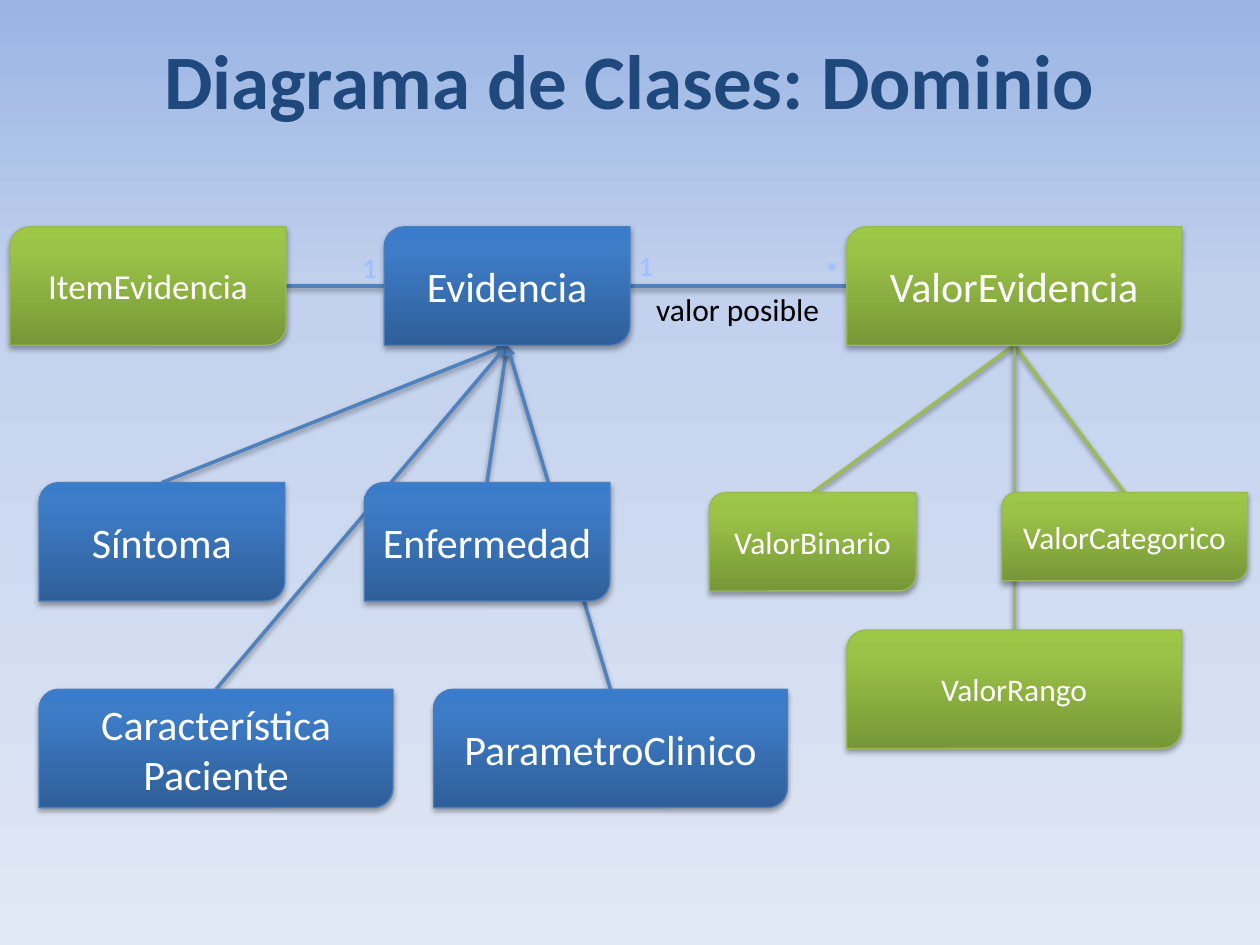
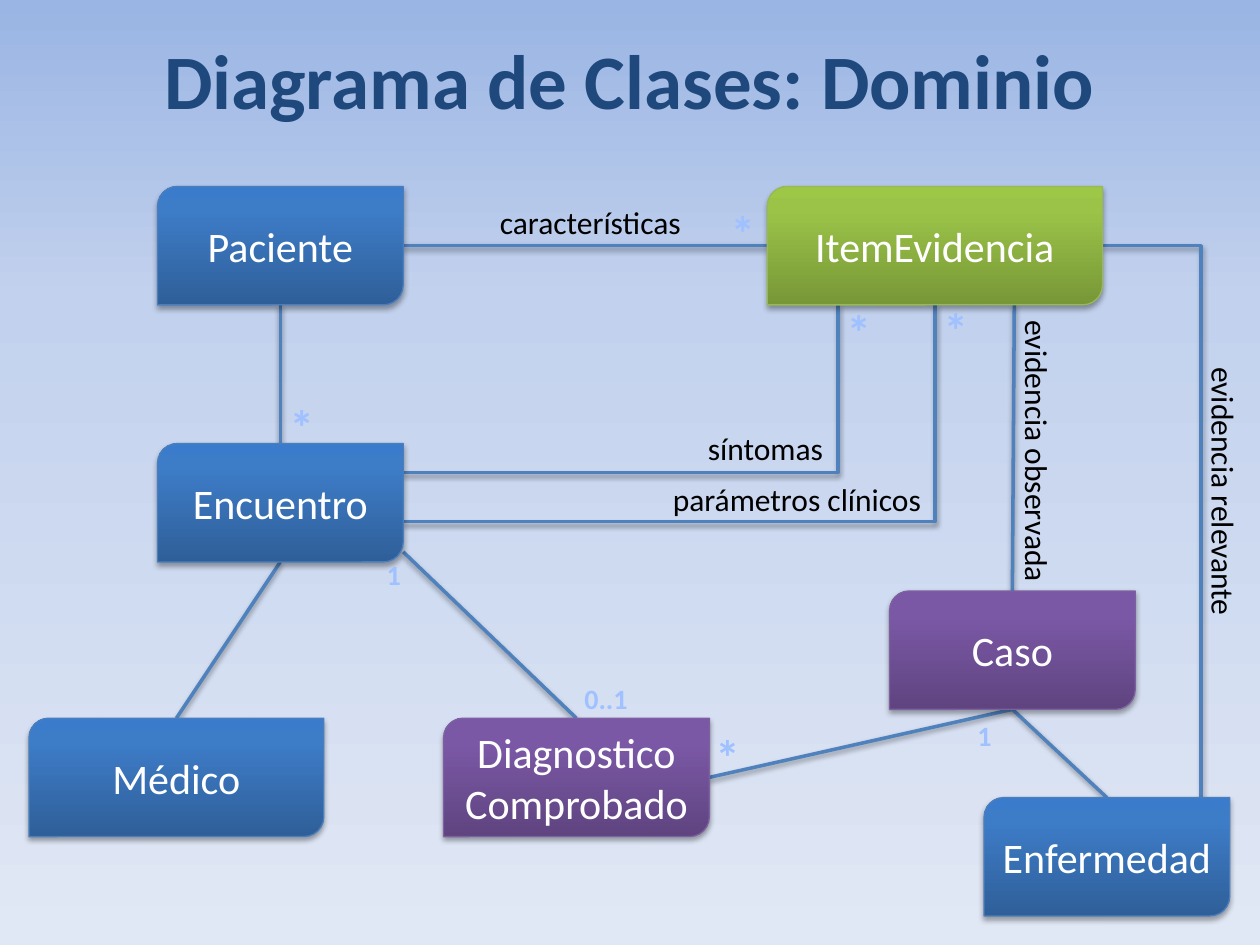
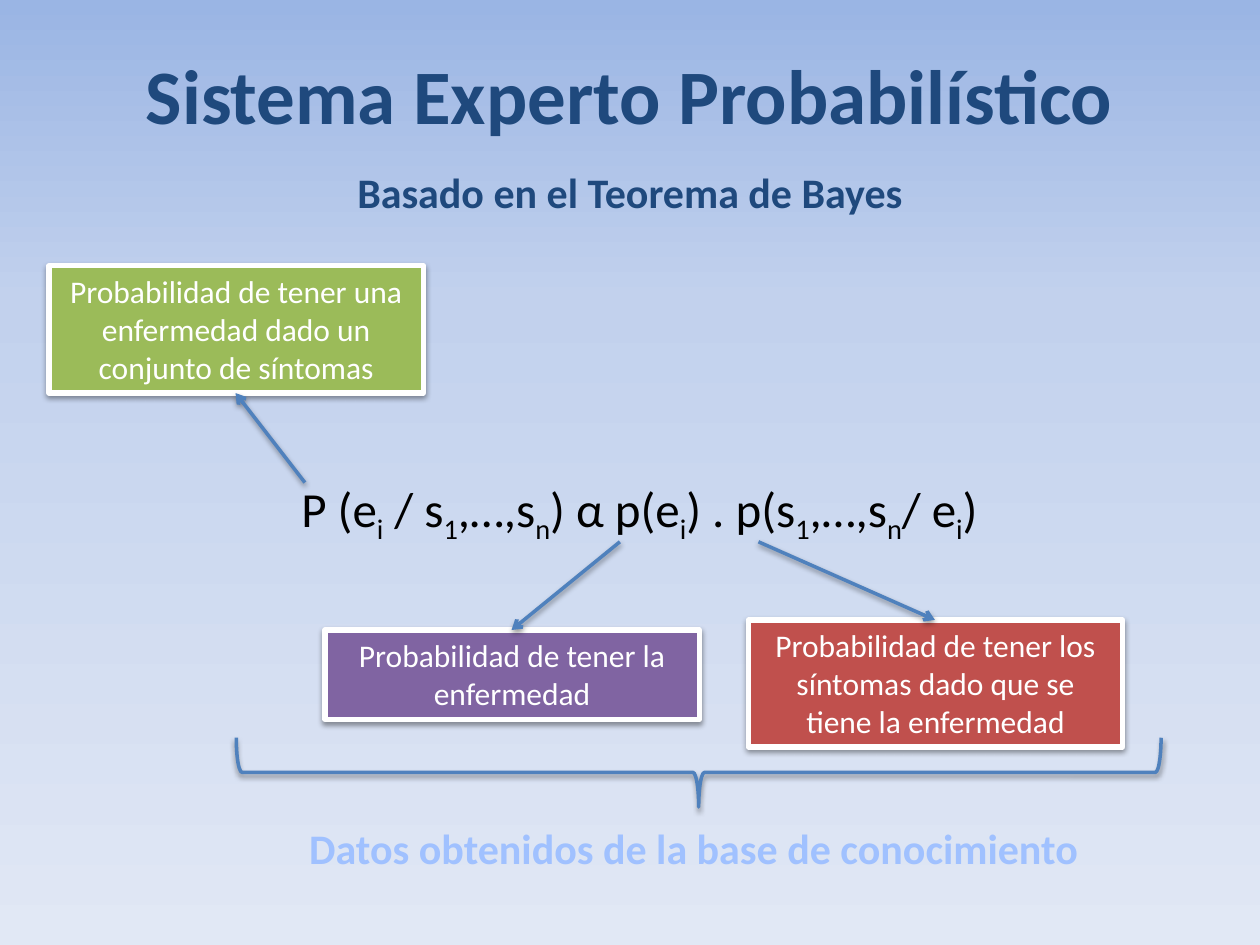
from dataclasses import dataclass

from lxml import etree
from pptx import Presentation
from pptx import slide as sl
from pptx import util as u
from pptx.dml.color import RGBColor
from pptx.enum import shapes, text
from pptx.oxml.ns import qn
from pptx.shapes import base

Point = tuple[float, float]
Stops = tuple[tuple[int, str], ...]

FONT = "Calibri"
NAVY = "1F497D"
BLUE = "4F81BD"
GREEN = "9BBB59"
PURPLE = "8064A2"
RED = "C0504D"
PALE_BLUE = "A0C1FF"
WHITE = "FFFFFF"
BLACK = "000000"
BACKGROUND: Stops = ((0, "9AB5E4"), (32, "C2D1ED"), (100, "E1E8F5"))


@dataclass(frozen=True)
class TextStyle:
    size: float
    color: str = BLACK
    bold: bool = False
    align: text.PP_ALIGN = text.PP_ALIGN.CENTER
    anchor: text.MSO_ANCHOR = text.MSO_ANCHOR.TOP


@dataclass(frozen=True)
class Palette:
    stops: Stops
    outline: str


@dataclass(frozen=True)
class Shadow:
    opacity: int
    distance: int


@dataclass(frozen=True)
class Label:
    words: str
    left: float
    top: float
    width: float
    height: float
    style: TextStyle
    rotation: float = 0


@dataclass(frozen=True)
class Link:
    start: Point
    end: Point
    color: str = BLUE
    arrow: str = ""
    elbow: bool = False


@dataclass(frozen=True)
class Card:
    words: str
    left: float
    top: float
    height: float
    color: str


BLUE_CLASS = Palette(((0, "2F5F99"), (80, "3D7CC7"), (100, "3A7CCB")), "4B7EBC")
GREEN_CLASS = Palette(((0, "779737"), (80, "9BC348"), (100, "9DC746")), "98B955")
PURPLE_CLASS = Palette(((0, "5F4480"), (80, "7B58A6"), (100, "7C57A8")), "7D60A0")


@dataclass(frozen=True)
class ClassBox:
    words: str
    left: float
    top_edge: float
    width: float = 1.95
    height: float = 0.94
    palette: Palette = BLUE_CLASS
    size: float = 24

    @property
    def top(self) -> Point:
        return self.left + self.width / 2, self.top_edge

    @property
    def bottom(self) -> Point:
        return self.left + self.width / 2, self.top_edge + self.height

    @property
    def left_side(self) -> Point:
        return self.left, self.top_edge + self.height / 2

    @property
    def right_side(self) -> Point:
        return self.left + self.width, self.top_edge + self.height / 2


CLASS_SHADOW = Shadow(35, 23000)
SOFT_SHADOW = Shadow(38, 20000)
MIDDLE = text.MSO_ANCHOR.MIDDLE
TITLE = TextStyle(44, NAVY, True, anchor=MIDDLE)
SUBTITLE = TextStyle(24, NAVY, True, anchor=MIDDLE)
CAPTION = TextStyle(18)
FORMULA = TextStyle(28)
CONCLUSION = TextStyle(24, PALE_BLUE, True)
COUNT = TextStyle(16, PALE_BLUE, True, text.PP_ALIGN.LEFT)
STAR = TextStyle(28, PALE_BLUE, True, text.PP_ALIGN.LEFT)


def rgb(color: str) -> RGBColor:
    return RGBColor.from_string(color)


def set_gradient(fill, owner, stops: Stops, angle: float) -> None:
    fill.gradient()
    fill.gradient_angle = angle
    stop_list = next(owner.iter(qn("a:gsLst")))
    for stop in list(stop_list):
        stop_list.remove(stop)
    for position, color in stops:
        stop = etree.SubElement(stop_list, qn("a:gs"), pos=str(position * 1000))
        etree.SubElement(stop, qn("a:srgbClr"), val=color)


def set_line(shape, color: str, width: float) -> None:
    shape.line.color.rgb = rgb(color)
    shape.line.width = u.Pt(width)


def add_shadow(shape: base.BaseShape, shadow: Shadow) -> None:
    effects = etree.SubElement(shape.element.spPr, qn("a:effectLst"))
    outer = etree.SubElement(effects, qn("a:outerShdw"), blurRad="40000",
                             dist=str(shadow.distance), dir="5400000", rotWithShape="0")
    color = etree.SubElement(outer, qn("a:srgbClr"), val=BLACK)
    etree.SubElement(color, qn("a:alpha"), val=str(shadow.opacity * 1000))


def format_text(shape, style: TextStyle) -> None:
    frame = shape.text_frame
    frame.word_wrap = True
    frame.vertical_anchor = style.anchor
    for paragraph in frame.paragraphs:
        paragraph.alignment = style.align
        for run in paragraph.runs:
            run.font.name = FONT
            run.font.size = u.Pt(style.size)
            run.font.bold = style.bold
            run.font.color.rgb = rgb(style.color)


def draw_label(slide: sl.Slide, label: Label) -> None:
    shape = slide.shapes.add_textbox(u.Inches(label.left), u.Inches(label.top),
                                     u.Inches(label.width), u.Inches(label.height))
    shape.rotation = label.rotation
    shape.text_frame.text = label.words
    format_text(shape, label.style)


def draw_class(slide: sl.Slide, box: ClassBox) -> None:
    shape = slide.shapes.add_shape(shapes.MSO_SHAPE.ROUND_2_DIAG_RECTANGLE,
                                   u.Inches(box.left), u.Inches(box.top_edge),
                                   u.Inches(box.width), u.Inches(box.height))
    set_gradient(shape.fill, shape.element, box.palette.stops, 90)
    set_line(shape, box.palette.outline, 0.75)
    add_shadow(shape, CLASS_SHADOW)
    shape.text_frame.text = box.words
    format_text(shape, TextStyle(box.size, WHITE, anchor=MIDDLE))


def draw_link(slide: sl.Slide, link: Link) -> None:
    kind = shapes.MSO_CONNECTOR.ELBOW if link.elbow else shapes.MSO_CONNECTOR.STRAIGHT
    ends = [u.Inches(value) for value in link.start + link.end]
    connector = slide.shapes.add_connector(kind, *ends)
    if link.elbow:
        connector.element.spPr.find(qn("a:prstGeom")).set("prst", "bentConnector2")
    set_line(connector, link.color, 2)
    if link.arrow:
        line = connector.element.spPr.find(qn("a:ln"))
        etree.SubElement(line, qn("a:tailEnd"), type=link.arrow)
    add_shadow(connector, SOFT_SHADOW)


def draw_card(slide: sl.Slide, card: Card) -> None:
    shape = slide.shapes.add_shape(shapes.MSO_SHAPE.RECTANGLE,
                                   u.Inches(card.left), u.Inches(card.top),
                                   u.Inches(2.97), u.Inches(card.height))
    shape.fill.solid()
    shape.fill.fore_color.rgb = rgb(card.color)
    set_line(shape, WHITE, 3)
    add_shadow(shape, SOFT_SHADOW)
    shape.text_frame.text = card.words
    format_text(shape, TextStyle(18, WHITE))


def draw_formula(slide: sl.Slide) -> None:
    parts = ("P (e", "i", " / s", "1", ",…,s", "n", ") α p(e", "i",
             ") . p(s", "1", ",…,s", "n", "/ e", "i", ")")
    shape = slide.shapes.add_textbox(u.Inches(1.95), u.Inches(3.75),
                                     u.Inches(6.25), u.Inches(0.57))
    paragraph = shape.text_frame.paragraphs[0]
    for index, part in enumerate(parts):
        run = paragraph.add_run()
        run.text = part
        if index % 2:
            run.font._element.set("baseline", "-25000")
    format_text(shape, FORMULA)


def draw_brace(slide: sl.Slide) -> None:
    brace = slide.shapes.add_shape(shapes.MSO_SHAPE.RIGHT_BRACE, u.Inches(5.27),
                                   u.Inches(2.46), u.Inches(0.55), u.Inches(7.34))
    brace.rotation = 90
    brace.fill.background()
    set_line(brace, BLUE, 2)
    add_shadow(brace, SOFT_SHADOW)


def add_slide(presentation, title: str, top: float = 0) -> sl.Slide:
    slide = presentation.slides.add_slide(presentation.slide_layouts[6])
    draw_label(slide, Label(title, 0.75, top, 8.5, 1.25 - top, TITLE))
    return slide


def add_class_diagram(presentation, links: list[Link], boxes: list[ClassBox],
                      labels: list[Label]) -> None:
    slide = add_slide(presentation, "Diagrama de Clases: Dominio")
    for link in links:
        draw_link(slide, link)
    for box in boxes:
        draw_class(slide, box)
    for label in labels:
        draw_label(slide, label)


def count(words: str, left: float, top: float) -> Label:
    return Label(words, left, top, 0.63, 0.37, COUNT)


def star(left: float, top: float) -> Label:
    return Label("*", left, top, 0.31, 0.57, STAR)


def caption(words: str, left: float, top: float, rotation: float = 0) -> Label:
    return Label(words, left, top, 2.81, 0.4, CAPTION, rotation)


def add_evidence_diagram(presentation) -> None:
    item = ClassBox("ItemEvidencia", 0.08, 1.8, 2.19, palette=GREEN_CLASS, size=20)
    evidence = ClassBox("Evidencia", 3.05, 1.8)
    value = ClassBox("ValorEvidencia", 6.72, 1.8, 2.66, palette=GREEN_CLASS)
    symptom = ClassBox("Síntoma", 0.31, 3.83)
    disease = ClassBox("Enfermedad", 2.89, 3.83)
    patient_trait = ClassBox("Característica Paciente", 0.31, 5.47, 2.81)
    parameter = ClassBox("ParametroClinico", 3.44, 5.47, 2.81)
    binary = ClassBox("ValorBinario", 5.63, 3.91, 1.64, 0.78, GREEN_CLASS, 18)
    category = ClassBox("ValorCategorico", 7.95, 3.91, 1.95, 0.7, GREEN_CLASS, 18)
    value_range = ClassBox("ValorRango", 6.72, 5, 2.66, 0.94, GREEN_CLASS, 18)

    evidence_kinds = [symptom, disease, patient_trait, parameter]
    value_kinds = [binary, category, value_range]
    links = [Link(kind.top, evidence.bottom, arrow="triangle") for kind in evidence_kinds]
    links += [Link(value.bottom, kind.top, GREEN) for kind in value_kinds]
    links += [Link(item.right_side, evidence.left_side),
              Link(evidence.right_side, value.left_side)]
    labels = [caption("valor posible", 4.45, 2.25), count("1", 2.78, 1.94),
              count("1", 4.97, 1.92), count("*", 6.45, 1.97)]
    boxes = [item, evidence, value] + evidence_kinds + value_kinds
    add_class_diagram(presentation, links, boxes, labels)


def add_encounter_diagram(presentation) -> None:
    patient = ClassBox("Paciente", 1.25, 1.48)
    item = ClassBox("ItemEvidencia", 6.09, 1.48, 2.66, palette=GREEN_CLASS)
    encounter = ClassBox("Encuentro", 1.25, 3.52)
    doctor = ClassBox("Médico", 0.23, 5.7, 2.34)
    diagnosis = ClassBox("Diagnostico\vComprobado", 3.52, 5.7, 2.11, palette=PURPLE_CLASS)
    case = ClassBox("Caso", 7.06, 4.69, palette=PURPLE_CLASS)
    disease = ClassBox("Enfermedad", 7.81, 6.33)

    links = [
        Link(patient.right_side, item.left_side),
        Link(patient.bottom, encounter.top),
        Link(encounter.bottom, doctor.top),
        Link((3.2, 4.38), diagnosis.top),
        Link((3.2, 3.75), (6.65, 2.42), elbow=True),
        Link((3.2, 4.14), item.bottom, elbow=True),
        Link((8.05, 2.42), case.top),
        Link(case.bottom, diagnosis.right_side),
        Link(case.bottom, disease.top),
        Link(item.right_side, (9.53, 6.33), elbow=True),
    ]
    labels = [
        caption("características", 3.28, 1.56),
        caption("síntomas", 4.67, 3.36),
        caption("parámetros clínicos", 4.92, 3.76),
        caption("evidencia observada", 6.83, 3.38, 90),
        caption("evidencia relevante", 8.31, 3.7, 90),
        star(5.7, 1.56), star(6.62, 2.34), star(7.39, 2.33), star(2.2, 3.1),
        star(5.58, 5.72),
        count("1", 2.97, 4.38), count("0..1", 4.54, 5.36), count("1", 7.66, 5.65),
    ]
    boxes = [patient, item, encounter, doctor, diagnosis, case, disease]
    add_class_diagram(presentation, links, boxes, labels)


def add_bayes_slide(presentation) -> None:
    slide = add_slide(presentation, "Sistema Experto Probabilístico", 0.23)
    draw_label(slide, Label("Basado en el Teorema de Bayes", 0.75, 1.17, 8.5, 0.7, SUBTITLE))
    draw_formula(slide)
    cards = [
        Card("Probabilidad de tener una enfermedad dado un conjunto de síntomas",
             0.39, 2.11, 1.01, GREEN),
        Card("Probabilidad de tener la enfermedad", 2.58, 5, 0.71, PURPLE),
        Card("Probabilidad de tener los síntomas dado que se tiene la enfermedad",
             5.94, 4.92, 1.01, RED),
    ]
    for card in cards:
        draw_card(slide, card)
    for start, end in (((2.42, 3.83), (1.87, 3.12)), ((4.92, 4.3), (4.06, 5)),
                       ((6.02, 4.3), (7.42, 4.92))):
        draw_link(slide, Link(start, end, arrow="arrow"))
    draw_brace(slide)
    draw_label(slide, Label("Datos obtenidos de la base de conocimiento",
                            1.95, 6.48, 7.11, 0.5, CONCLUSION))


def main() -> None:
    presentation = Presentation()
    presentation.slide_width = u.Inches(10)
    presentation.slide_height = u.Inches(7.5)
    master = presentation.slide_master
    set_gradient(master.background.fill, master.element, BACKGROUND, 270)
    add_evidence_diagram(presentation)
    add_encounter_diagram(presentation)
    add_bayes_slide(presentation)
    presentation.save("out.pptx")


if __name__ == "__main__":
    main()
